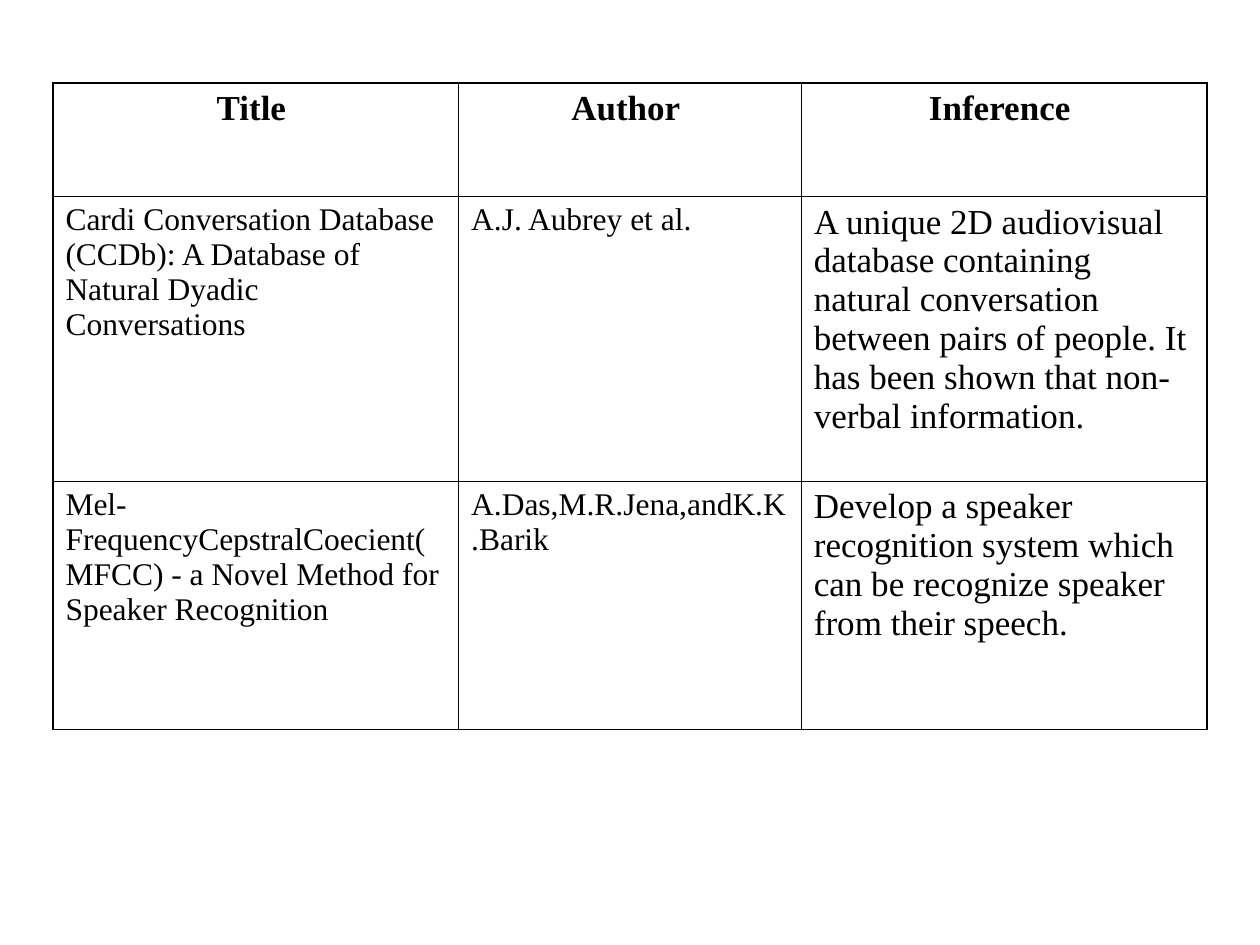
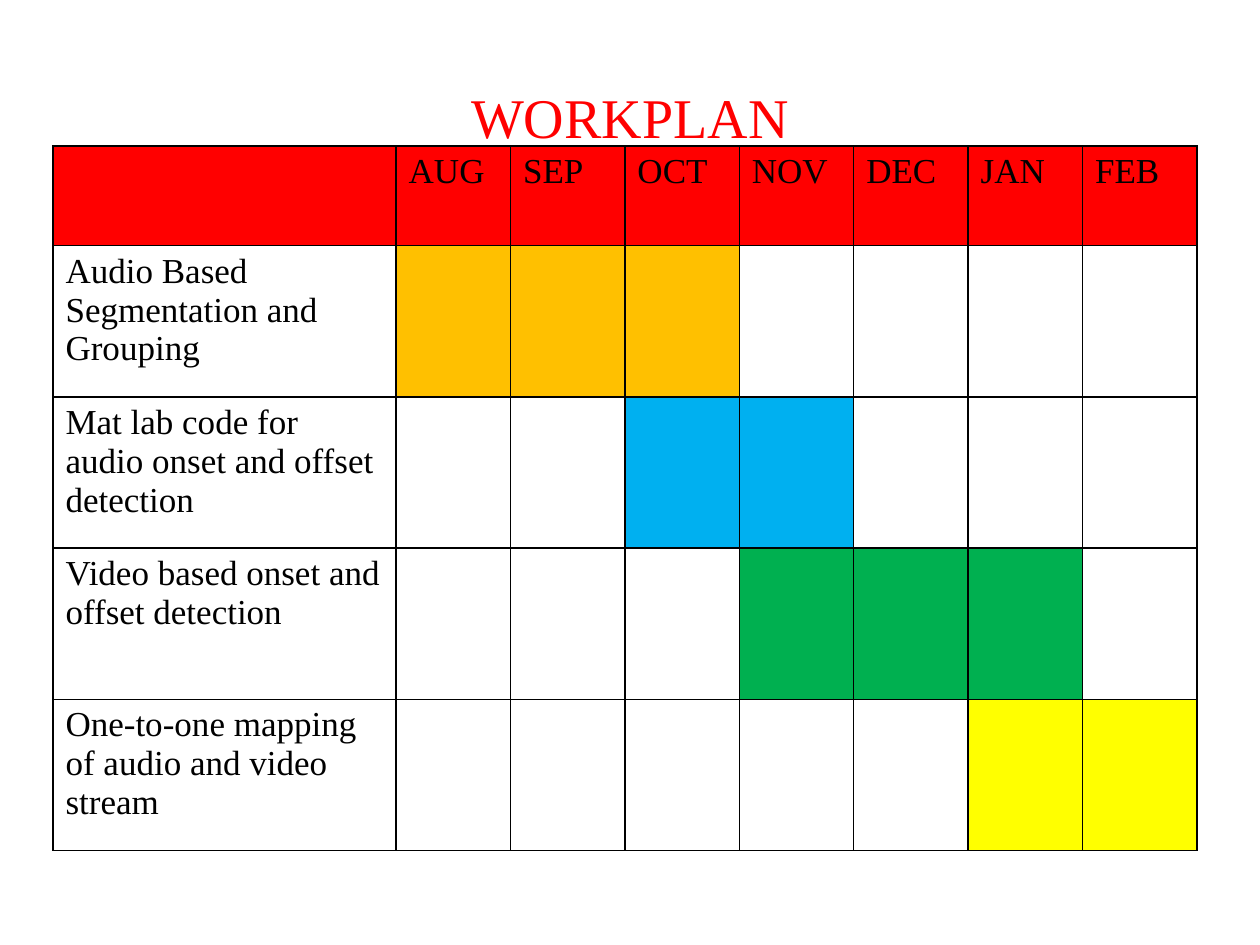
from lxml.etree import SubElement
from pptx import Presentation
from pptx.dml.color import RGBColor
from pptx.enum.text import MSO_ANCHOR, PP_ALIGN
from pptx.oxml.ns import qn
from pptx.util import Inches, Pt

FONT = "Times New Roman"
BLACK = RGBColor(0x00, 0x00, 0x00)
RED = RGBColor(0xFF, 0x00, 0x00)
ORANGE = RGBColor(0xFF, 0xC0, 0x00)
BLUE = RGBColor(0x00, 0xB0, 0xF0)
GREEN = RGBColor(0x00, 0xB0, 0x50)
YELLOW = RGBColor(0xFF, 0xFF, 0x00)

TITLE_ONLY, BLANK = 5, 6
TABLE_LEFT = 0.42

PAPERS = [
    ("Cardi Conversation Database (CCDb): A Database of Natural Dyadic Conversations",
     "A.J. Aubrey et al. ",
     "A unique 2D audiovisual database containing natural conversation between "
     "pairs of people. It has been shown that non-verbal information."),
    ("Mel- FrequencyCepstralCoecient(MFCC) - a Novel Method for Speaker Recognition",
     "A.Das,M.R.Jena,andK.K.Barik",
     "Develop a speaker recognition system which can be recognize speaker "
     "from their speech."),
]

WORKPLAN_WIDTH = 9.08
MONTHS = ["AUG", "SEP", "OCT", "NOV", "DEC", "JAN", "FEB"]
# Task, first month, last month, bar colour
TASKS = [
    ("Audio Based Segmentation and Grouping", "AUG", "OCT", ORANGE),
    ("Mat lab code for audio onset and offset detection", "OCT", "NOV", BLUE),
    ("Video based onset and offset detection", "NOV", "JAN", GREEN),
    ("One-to-one mapping of audio and video stream", "JAN", "FEB", YELLOW),
]


def write(frame, text, size, color=BLACK, bold=False, align=PP_ALIGN.LEFT):
    frame.text = text
    paragraph = frame.paragraphs[0]
    paragraph.alignment = align
    for run in paragraph.runs:
        run.font.name = FONT
        run.font.size = Pt(size)
        run.font.bold = bold
        run.font.color.rgb = color


def add_borders(cell):
    properties = cell._tc.get_or_add_tcPr()
    for side in ("lnL", "lnR", "lnT", "lnB"):
        line = SubElement(properties, qn(f"a:{side}"), w=str(Pt(1)))
        fill = SubElement(line, qn("a:solidFill"))
        SubElement(fill, qn("a:srgbClr"), val=str(BLACK))


def paint(cell, color):
    cell.fill.solid()
    cell.fill.fore_color.rgb = color


def add_grid(page, top, widths, heights):
    """Add a table with black borders and no fill."""
    frame = page.shapes.add_table(
        len(heights), len(widths), Inches(TABLE_LEFT), Inches(top),
        Inches(sum(widths)), Inches(sum(heights)))
    table = frame.table
    table.first_row = False
    table.horz_banding = False
    for column, width in zip(table.columns, widths):
        column.width = Inches(width)
    for row, height in zip(table.rows, heights):
        row.height = Inches(height)
    for cell in table.iter_cells():
        add_borders(cell)
        cell.fill.background()
    return table


def add_title(page, text):
    title = page.shapes.title
    title.left, title.top = Inches(0.5), Inches(0.3)
    title.width, title.height = Inches(9), Inches(1.25)
    title.text_frame.vertical_anchor = MSO_ANCHOR.MIDDLE
    write(title.text_frame, text, 32, RED, align=PP_ALIGN.CENTER)


def build_literature(deck):
    page = deck.slides.add_slide(deck.slide_layouts[BLANK])
    table = add_grid(page, 0.66, [3.22, 2.72, 3.22], [0.9, 2.26, 1.97])
    for column, heading in enumerate(["Title ", "Author ", "Inference "]):
        write(table.cell(0, column).text_frame, heading, 20, bold=True,
              align=PP_ALIGN.CENTER)
    for row, paper in enumerate(PAPERS, start=1):
        for column, (text, size) in enumerate(zip(paper, (18, 18, 20))):
            write(table.cell(row, column).text_frame, text, size)


def build_workplan(deck):
    page = deck.slides.add_slide(deck.slide_layouts[TITLE_ONLY])
    add_title(page, "WORKPLAN")
    # The task column is as wide as three months
    month_width = WORKPLAN_WIDTH / (len(MONTHS) + 3)
    table = add_grid(page, 1.16, [3 * month_width] + [month_width] * len(MONTHS),
                     [0.79] + [1.2] * len(TASKS))
    # Month header
    for column, month in enumerate([""] + MONTHS):
        cell = table.cell(0, column)
        paint(cell, RED)
        write(cell.text_frame, month, 20)
    # One bar of filled cells for each task
    for row, (task, first, last, color) in enumerate(TASKS, start=1):
        write(table.cell(row, 0).text_frame, task, 20)
        for month in range(MONTHS.index(first), MONTHS.index(last) + 1):
            paint(table.cell(row, month + 1), color)


def main():
    deck = Presentation()
    deck.slide_width, deck.slide_height = Inches(10), Inches(7.5)
    build_literature(deck)
    build_workplan(deck)
    deck.save("out.pptx")


main()
